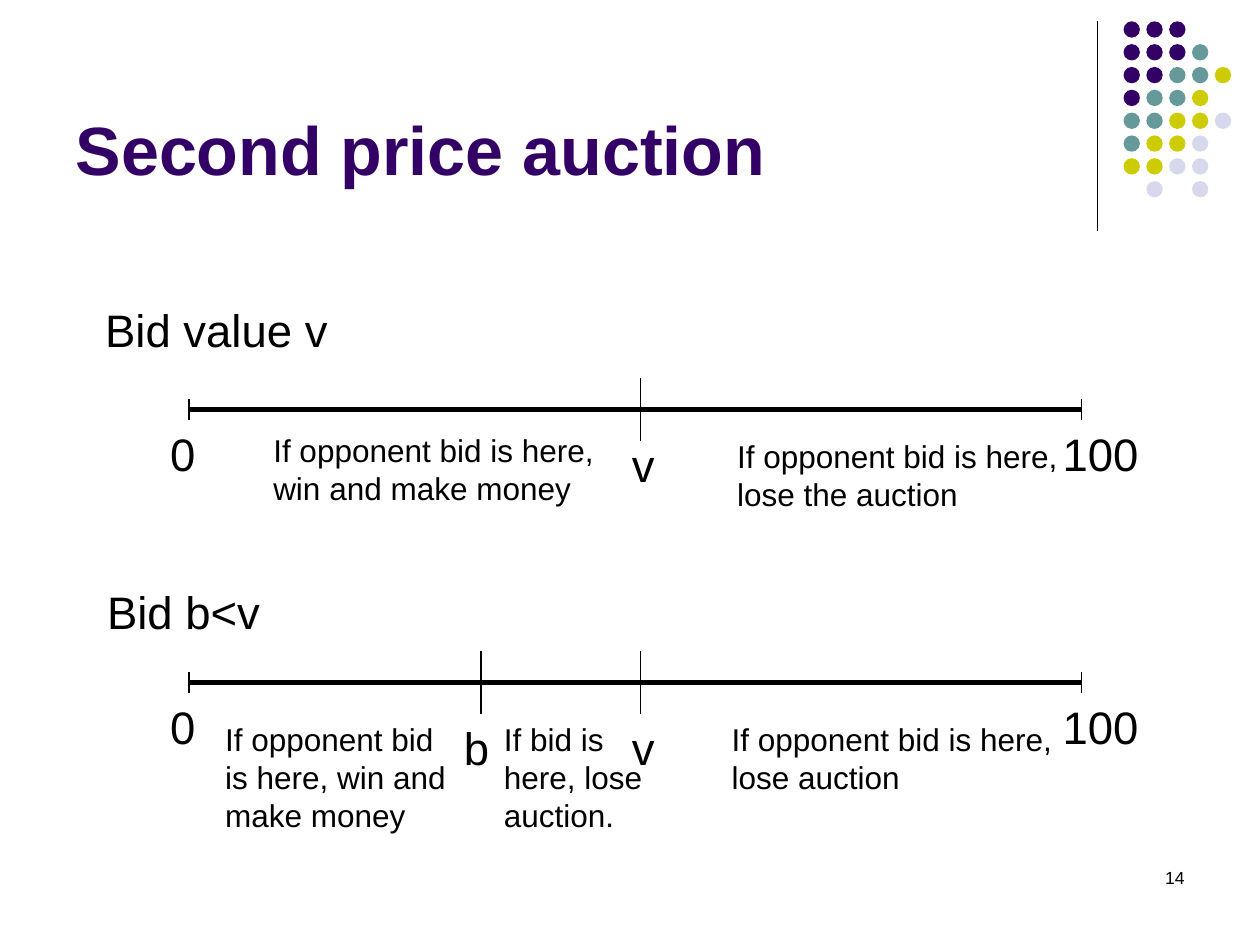
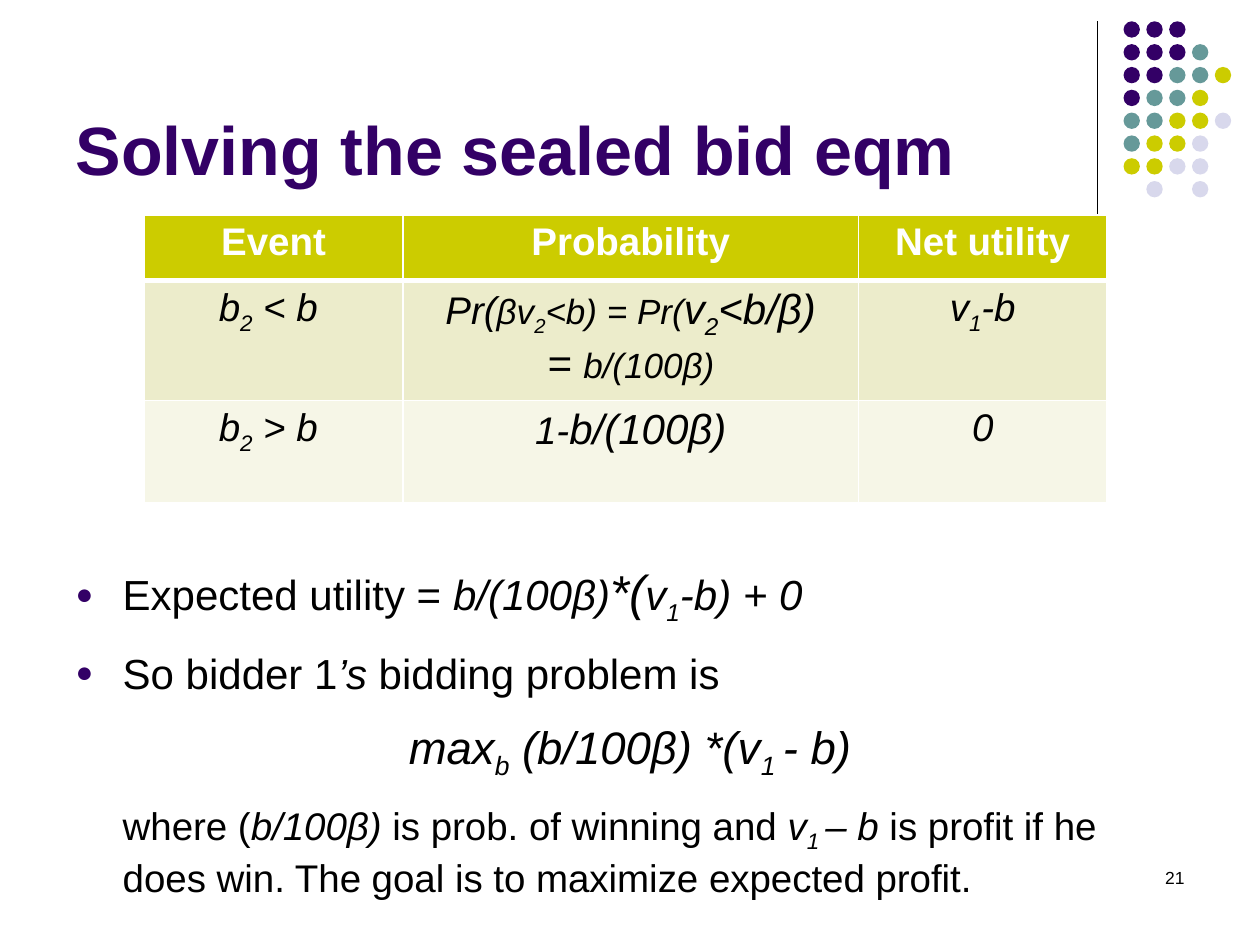
from lxml.etree import SubElement
from pptx import Presentation
from pptx.dml.color import RGBColor
from pptx.enum.shapes import MSO_CONNECTOR as LINE, MSO_SHAPE as SHAPE
from pptx.enum.text import MSO_ANCHOR as ANCHOR, MSO_AUTO_SIZE as AUTO, PP_ALIGN as ALIGN
from pptx.oxml.ns import qn
from pptx.util import Cm, Pt

PURPLE = RGBColor(0x33, 0x00, 0x66)
TEAL = RGBColor(0x66, 0x99, 0x99)
LIME = RGBColor(0xCC, 0xCC, 0x00)
LILAC = RGBColor(0xD8, 0xD8, 0xEC)
BLACK = RGBColor(0x00, 0x00, 0x00)
WHITE = RGBColor(0xFF, 0xFF, 0xFF)
ROW_DARK = RGBColor(0xEC, 0xEC, 0xCB)
ROW_LIGHT = RGBColor(0xF6, 0xF6, 0xE7)

FONT = "Arial"
TITLE_ONLY, TITLE_AND_BODY = 5, 1
DOT_COLORS = {"P": PURPLE, "T": TEAL, "L": LIME, "V": LILAC}
DOT_ROWS = ["PPP", "PPPT", "PPTTL", "PTTL", "TTLLV", "TLLV", "LLVV", " V V"]


class Deck:
    def __init__(self):
        self.prs = Presentation()
        self.prs.slide_width, self.prs.slide_height = Cm(25.4), Cm(19.05)
        self.s = None

    def slide(self, layout, title, number):
        first = self.s is None
        self.s = self.prs.slides.add_slide(self.prs.slide_layouts[layout])
        if first:
            self.decorate_master()
        tf = self.placeholder(self.s.shapes.title, 1.27, 0.33, 20.96, 3.61)
        tf.vertical_anchor = ANCHOR.BOTTOM
        p = tf.paragraphs[0]
        p.alignment = ALIGN.LEFT
        self.runs(p, [(title, 39)], PURPLE, bold=True)
        self.text([number], 18.21, 17.35, 5.92, 1.27, 10, wrap=True, align=ALIGN.RIGHT)

    def decorate_master(self):
        rule = self.line(22.12, 0.43, 22.12, 4.65)
        dots = self.s.shapes.add_group_shape()
        for row, codes in enumerate(DOT_ROWS):
            for col, code in enumerate(codes):
                if code in DOT_COLORS:
                    dot = dots.shapes.add_shape(
                        SHAPE.OVAL, Cm(22.65 + 0.46 * col), Cm(0.43 + 0.46 * row), Cm(0.33), Cm(0.33))
                    dot.shadow.inherit = False
                    dot.fill.solid()
                    dot.fill.fore_color.rgb = DOT_COLORS[code]
                    dot.line.fill.background()
        for sp in (rule, dots):
            self.prs.slide_master.shapes.element.append(sp.element)

    def placeholder(self, sp, x, y, w, h):
        sp.left, sp.top, sp.width, sp.height = Cm(x), Cm(y), Cm(w), Cm(h)
        sp.text_frame.auto_size = AUTO.NONE
        sp.text_frame.word_wrap = True
        return sp.text_frame

    def runs(self, p, parts, color=BLACK, bold=False):
        for text, size, *style in parts:
            flags = style[0] if style else ""
            r = p.add_run()
            r.text = text
            f = r.font
            f.name, f.size, f.bold, f.italic = FONT, Pt(size), bold, "i" in flags
            f.color.rgb = color
            if "s" in flags:
                r._r.get_or_add_rPr().set("baseline", "-25000")

    def text(self, lines, x, y, w, h, size, wrap=False, align=ALIGN.LEFT):
        tf = self.s.shapes.add_textbox(Cm(x), Cm(y), Cm(w), Cm(h)).text_frame
        tf.word_wrap = wrap
        for i, line in enumerate(lines):
            p = tf.add_paragraph() if i else tf.paragraphs[0]
            p.alignment = align
            self.runs(p, [(line, size)])

    def line(self, x1, y1, x2, y2, width=0.75):
        c = self.s.shapes.add_connector(LINE.STRAIGHT, Cm(x1), Cm(y1), Cm(x2), Cm(y2))
        c.line.color.rgb = BLACK
        c.line.width = Pt(width)
        SubElement(c.element.spPr, qn("a:effectLst"))
        return c

    def tick(self, x, y, half):
        self.line(x, y - half, x, y + half)

    def number_line(self, y, marks, label_drop):
        left, right = 3.81, 21.8
        self.line(left, y, right, y, 3)
        for x in (left, right):
            self.tick(x, y, 0.21)
        self.text(["0"], 3.18, y + 0.21, 1.02, 1.35, 26)
        self.text(["100"], 21.17, y + 0.21, 2.4, 1.35, 26, wrap=True)
        for name, x, label_x in marks:
            self.tick(x, y, 0.64)
            self.text([name], label_x, y + label_drop, 1, 1.35, 26)

    def bullets(self, items, x, y, w, h):
        tf = self.placeholder(self.s.placeholders[1], x, y, w, h)
        for i, (kind, parts) in enumerate(items):
            p = tf.add_paragraph() if i else tf.paragraphs[0]
            p.alignment = ALIGN.CENTER if kind == "formula" else ALIGN.LEFT
            p.space_before, p.space_after = Pt(12 if i else 0), Pt(0)
            pPr = p._p.get_or_add_pPr()
            pPr.set("marL", str(Cm(0.95)))
            pPr.set("indent", "0" if kind == "plain" else str(-Cm(0.95)))
            if kind == "bullet":
                SubElement(SubElement(pPr, qn("a:buClr")), qn("a:srgbClr"), val=str(PURPLE))
                SubElement(pPr, qn("a:buSzPct"), val="70000")
                SubElement(pPr, qn("a:buFont"), typeface=FONT)
                SubElement(pPr, qn("a:buChar"), char="●")
            else:
                SubElement(pPr, qn("a:buNone"))
            self.runs(p, parts)

    def borders(self, cell, top, bottom):
        tcPr = cell._tc.get_or_add_tcPr()
        for side, width in (("L", 1), ("R", 1), ("T", top), ("B", bottom)):
            ln = SubElement(tcPr, qn(f"a:ln{side}"), w=str(Pt(width)))
            SubElement(SubElement(ln, qn("a:solidFill")), qn("a:srgbClr"), val=str(WHITE))

    def table(self, rows, x, y, widths, heights):
        table = self.s.shapes.add_table(
            len(rows), len(widths), Cm(x), Cm(y), Cm(sum(widths)), Cm(sum(heights))).table
        for column, width in zip(table.columns, widths):
            column.width = Cm(width)
        fills = (LIME, ROW_DARK, ROW_LIGHT)
        for i, (row, height) in enumerate(zip(rows, heights)):
            table.rows[i].height = Cm(height)
            for j, paragraphs in enumerate(row):
                cell = table.cell(i, j)
                self.borders(cell, 3 if i == 1 else 1, 3 if i == 0 else 1)
                cell.fill.solid()
                cell.fill.fore_color.rgb = fills[i]
                for k, parts in enumerate(paragraphs):
                    tf = cell.text_frame
                    p = tf.add_paragraph() if k else tf.paragraphs[0]
                    p.alignment = ALIGN.CENTER
                    self.runs(p, parts, BLACK if i else WHITE, bold=i == 0)


def second_price(deck):
    deck.slide(TITLE_ONLY, "Second price auction", "14")
    v_mark = ("v", 12.91, 12.49)

    deck.text(["Bid value v"], 1.87, 5.97, 5.05, 1.37, 26)
    deck.number_line(8.25, [v_mark], 0.43)
    here = "If opponent bid is here,"
    deck.text([here, "win and make money"], 5.26, 8.56, 6.96, 1.78, 18)
    deck.text([here, "lose the auction"], 14.61, 8.69, 6.96, 1.78, 18)

    deck.text(["Bid b<v"], 1.91, 11.64, 3.63, 1.37, 26)
    deck.number_line(13.76, [("b", 9.7, 9.1), v_mark], 0.64)
    for lines, x, w, h in [
        (["If opponent bid is here, win and make money"], 4.29, 5, 2.57),
        (["If bid is here, lose auction."], 9.91, 3.4, 2.57),
        ([here, "lose auction"], 14.5, 7.09, 1.8),
    ]:
        deck.text(lines, x, 14.4, w, h, 18, wrap=True)


def sealed_bid(deck):
    deck.slide(TITLE_AND_BODY, "Solving the sealed bid eqm", "21")
    deck.bullets([
        ("bullet", [("Expected utility = ", 24), ("b/(100β)", 24, "i"), ("*(", 28, "i"),
                    ("v", 24, "i"), ("1", 24, "is"), ("-b) + 0", 24, "i")]),
        ("bullet", [("So bidder 1", 24), ("’s ", 24, "i"), ("bidding problem is", 24)]),
        ("formula", [("max", 26, "i"), ("b", 26, "is"), (" (b/100β) *(v", 26, "i"),
                     ("1 ", 26, "is"), ("- b)", 26, "i")]),
        ("plain", [("where (", 22), ("b/100β) ", 22, "i"), ("is prob. of winning and ", 22),
                   ("v", 22, "i"), ("1 ", 22, "is"), ("– b ", 22, "i"),
                   ("is profit if he does win. The goal is to maximize expected profit.", 22)]),
    ], 1.27, 11.2, 22.86, 6)

    header = [[[(name, 22)]] for name in ("Event", "Probability", "Net utility")]
    win, lose = ([[("b", 22, "i"), ("2", 22, "is"), (f" {sign} b ", 22, "i")]] for sign in "<>")
    win_chance = [
        [("Pr(", 22, "i"), ("βv", 20, "i"), ("2", 20, "is"), ("<b) = Pr(", 20, "i"),
         ("v", 24, "i"), ("2", 24, "is"), ("<b/β)", 24, "i")],
        [("= ", 24, "i"), ("b/(100β)", 20, "i")],
    ]
    lose_chance = [[("1-", 22, "i"), ("b/(100β)", 24, "i")]]
    win_utility = [[("v", 22, "i"), ("1", 22, "is"), ("-b", 22, "i")]]
    lose_utility = [[("0", 22, "i")]]
    deck.table([header, [win, win_chance, win_utility], [lose, lose_chance, lose_utility]],
               2.91, 4.33, [5.21, 9.19, 5], [1.32, 2.28, 2.06])


def main():
    deck = Deck()
    second_price(deck)
    sealed_bid(deck)
    deck.prs.save("out.pptx")


if __name__ == "__main__":
    main()
